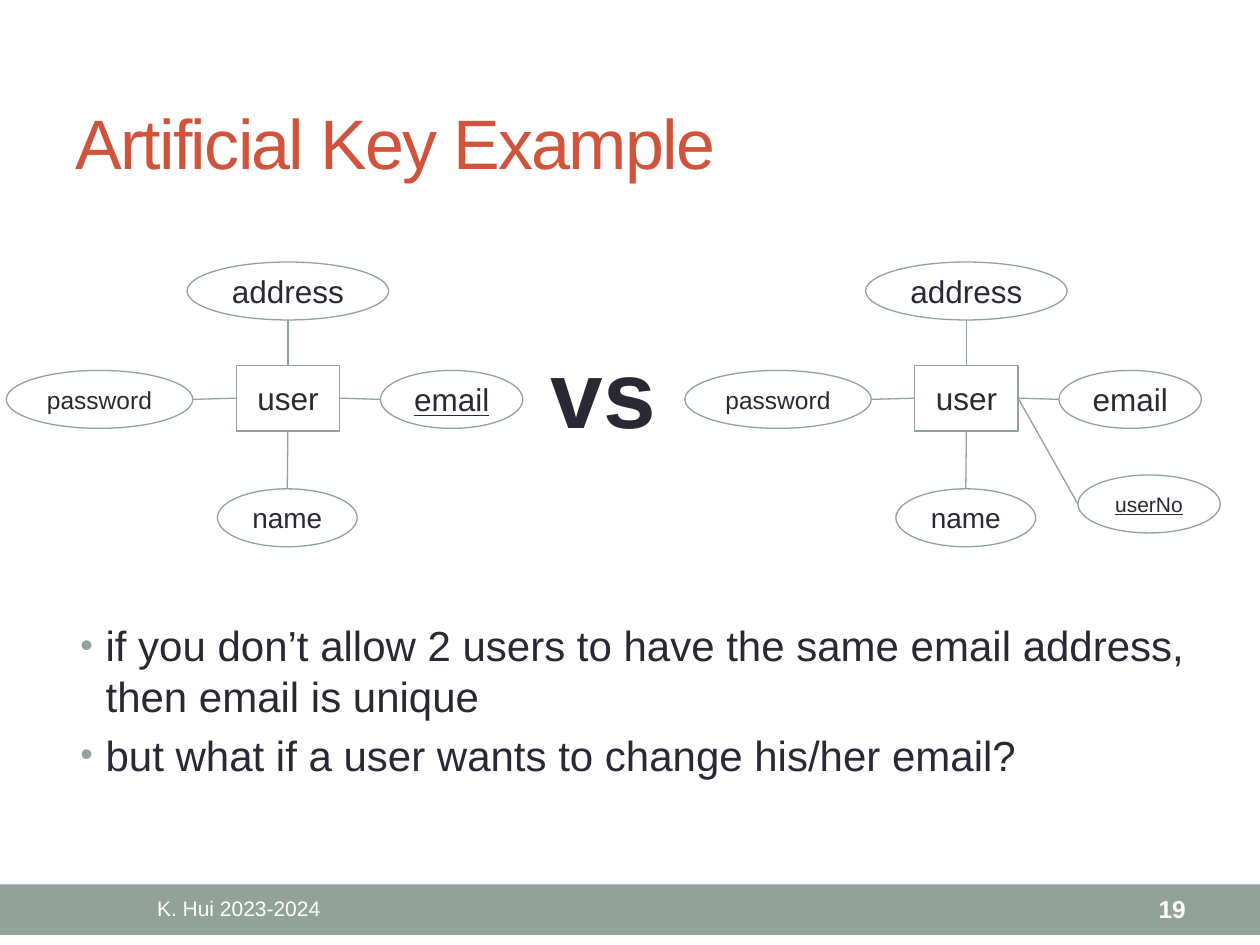
from lxml.etree import SubElement
from pptx import Presentation
from pptx.dml.color import RGBColor
from pptx.enum.shapes import MSO_CONNECTOR as LINE, MSO_SHAPE as SHAPE
from pptx.enum.text import MSO_ANCHOR as ANCHOR, PP_ALIGN as ALIGN
from pptx.oxml.ns import qn
from pptx.util import Inches, Pt

COLOURS = {"sage": "93A299", "rust": "D2533C", "ink": "292934", "white": "FFFFFF"}
COLUMNS, ROWS = 100, 75


def colour(name):
    """Return the named colour."""
    return RGBColor.from_string(COLOURS[name])


class Deck:
    """Style, grid and current slide."""

    font = "Arial"

    def __init__(self):
        """Start a presentation with one blank slide."""
        self.file = Presentation()
        self.file.slide_width, self.file.slide_height = Inches(10), Inches(7.5)
        self.slide = self.file.slides.add_slide(self.file.slide_layouts[6])
        self.shapes = self.slide.shapes

    def place(self, *lengths):
        """Turn alternating columns and rows into slide lengths."""
        units = (self.file.slide_width / COLUMNS, self.file.slide_height / ROWS)
        return [round(n * units[i % 2]) for i, n in enumerate(lengths)]

    def style(self, paragraph, size, ink="ink", align=ALIGN.LEFT, bold=False, underline=False):
        """Set the look of a paragraph."""
        paragraph.alignment = align
        font = paragraph.font
        font.name, font.size, font.bold, font.underline = self.font, Pt(size), bold, underline
        font.color.rgb = colour(ink)

    def text(self, box, words, size, anchor=ANCHOR.MIDDLE, **look):
        """Add a text box with one paragraph per string."""
        frame = self.shapes.add_textbox(*self.place(*box)).text_frame
        frame.word_wrap, frame.vertical_anchor = True, anchor
        frame.text = "\n".join(words)
        for paragraph in frame.paragraphs:
            self.style(paragraph, size, **look)
        return frame.paragraphs

    def bullets(self, box, words, size):
        """Add a bulleted list."""
        for paragraph in self.text(box, words, size, anchor=ANCHOR.TOP):
            paragraph.space_before = Pt(size * 0.2)
            props = paragraph._p.get_or_add_pPr()
            props.set("marL", str(Inches(0.2)))
            props.set("indent", str(-Inches(0.2)))
            tint = SubElement(props, qn("a:buClr"))
            SubElement(tint, qn("a:srgbClr"), val=COLOURS["sage"])
            SubElement(props, qn("a:buSzPct"), val="85000")
            SubElement(props, qn("a:buFont"), typeface=self.font)
            SubElement(props, qn("a:buChar"), char="•")

    def band(self, box):
        """Add a filled bar without outline."""
        bar = self.shapes.add_shape(SHAPE.RECTANGLE, *self.place(*box))
        bar.shadow.inherit = False
        bar.fill.solid()
        bar.fill.fore_color.rgb = colour("sage")
        bar.line.fill.background()

    def node(self, kind, box, label, size, underline=False):
        """Add an outlined, labelled shape."""
        node = self.shapes.add_shape(kind, *self.place(*box))
        node.shadow.inherit = False
        node.fill.background()
        node.line.color.rgb, node.line.width = colour("sage"), Pt(0.75)
        frame = node.text_frame
        frame.word_wrap, frame.vertical_anchor = False, ANCHOR.MIDDLE
        frame.margin_left = frame.margin_right = 0
        frame.text = label
        self.style(frame.paragraphs[0], size, align=ALIGN.CENTER, underline=underline)

    def link(self, start, end):
        """Draw a thin line between two grid points."""
        link = self.shapes.add_connector(LINE.STRAIGHT, *self.place(*start, *end))
        link.line.color.rgb, link.line.width = colour("sage"), Pt(0.75)
        SubElement(link._element.spPr, qn("a:effectLst"))


def side(box, name):
    """Return the middle of a box's side."""
    x, y, w, h = box
    across, down = {"top": (0.5, 0), "bottom": (0.5, 1), "left": (0, 0.5), "right": (1, 0.5)}[name]
    return x + w * across, y + h * down


# label, offset from the entity's corner, width, text size, entity side, attribute side
ATTRIBUTES = [
    ("name", (-1.5, 9.8), 11.1, 16, "bottom", "top"),
    ("email", (11.45, 0.4), 11.3, 18, "right", "left"),
    ("address", (-3.9, -8.2), 16, 18, "top", "bottom"),
    ("password", (-18.25, 0.4), 14.8, 14, "left", "right"),
]
USER_NO = ("userNo", (12.95, 8.7), 11.3, 12, "right", "left")


def entity(deck, left, attributes, key):
    """Draw the user entity with its attributes, the key underlined."""
    user = (left, 29, 8.2, 5.2)
    deck.node(SHAPE.RECTANGLE, user, "user", 18)
    for label, (dx, dy), width, size, near, far in attributes:
        oval = (left + dx, user[1] + dy, width, 4.6)
        deck.node(SHAPE.OVAL, oval, label, size, underline=label == key)
        deck.link(side(user, near), side(oval, far))


deck = Deck()
deck.band((0, 70.2, 100, 4))
title = deck.text((5, 5.8, 90, 10.8), ["Artificial Key Example"], 40, ink="rust")[0]
title.runs[0].font._element.set("spc", "-100")
deck.text((5, 70.3, 27.9, 3.6), ["K. Hui 2023-2024"], 12, ink="white", align=ALIGN.CENTER)
deck.text((83.4, 70.3, 11.7, 3.6), ["19"], 14, ink="white", align=ALIGN.RIGHT, bold=True)

entity(deck, 18.75, ATTRIBUTES, "email")
entity(deck, 72.6, ATTRIBUTES + [USER_NO], "userNo")
deck.text((41.2, 26, 13.4, 10.1), ["vs"], 54, anchor=ANCHOR.TOP, align=ALIGN.CENTER, bold=True)

deck.bullets((5.4, 48.7, 90, 15.1), [
    "if you don’t allow 2 users to have the same email address, then email is unique",
    "but what if a user wants to change his/her email?",
], 24)

deck.file.save("out.pptx")
